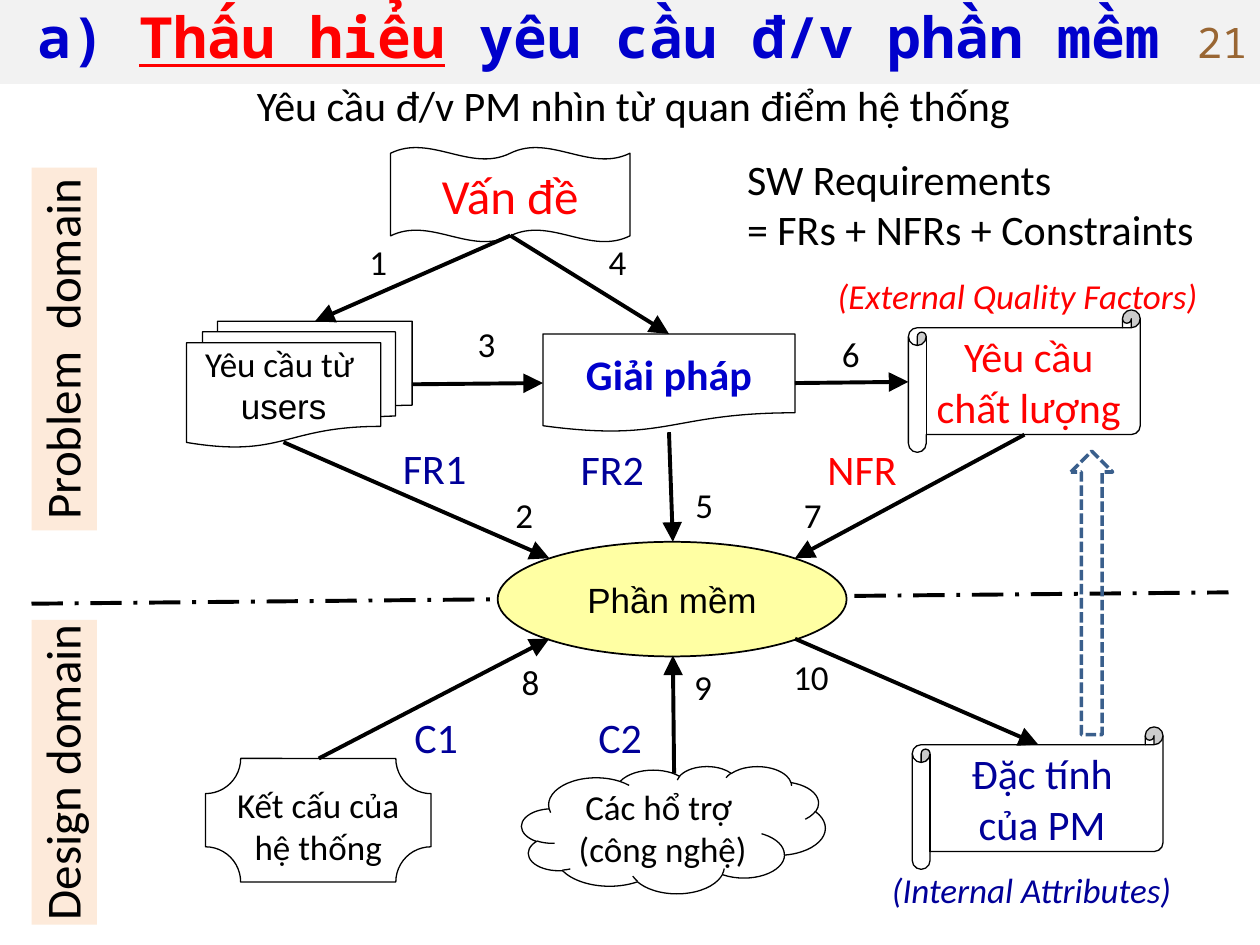
from lxml import etree
from pptx import Presentation
from pptx.dml.color import RGBColor
from pptx.enum.dml import MSO_LINE
from pptx.enum.shapes import MSO_CONNECTOR, MSO_SHAPE
from pptx.enum.text import MSO_ANCHOR, PP_ALIGN
from pptx.oxml.ns import qn
from pptx.util import Pt

RECT = MSO_SHAPE.RECTANGLE
SCROLL = MSO_SHAPE.HORIZONTAL_SCROLL
STRAIGHT = MSO_CONNECTOR.STRAIGHT
TOP, MIDDLE = MSO_ANCHOR.TOP, MSO_ANCHOR.MIDDLE
LEFT, CENTER = PP_ALIGN.LEFT, PP_ALIGN.CENTER

BLACK, WHITE, RED = "000000", "FFFFFF", "FF0000"
BLUE, NAVY, GRAY, PEACH = "0000CC", "000099", "F2F2F2", "FDEADA"
MONO = "Noto Sans Mono"

rgb = RGBColor.from_string

prs = Presentation()
prs.slide_width, prs.slide_height = Pt(720), Pt(540)
slide = prs.slides.add_slide(prs.slide_layouts[6])
shapes = slide.shapes


def write(frame, text, size, color, align=CENTER, anchor=MIDDLE,
          margins=(0, 0), wrap=True, font="Calibri"):
    frame.text = text
    frame.word_wrap = wrap
    frame.vertical_anchor = anchor
    frame.margin_left = frame.margin_right = Pt(margins[0])
    frame.margin_top = frame.margin_bottom = Pt(margins[1])
    for paragraph in frame.paragraphs:
        paragraph.alignment = align
        for run in paragraph.runs:
            run.font.size, run.font.name = Pt(size), font
            run.font.color.rgb = rgb(color)


def add_block(kind, box, fill, outline=None, width=0.75):
    block = shapes.add_shape(kind, *[Pt(v) for v in box])
    block.shadow.inherit = False
    if fill:
        block.fill.solid()
        block.fill.fore_color.rgb = rgb(fill)
    else:
        block.fill.background()
    if outline:
        block.line.color.rgb = rgb(outline)
        block.line.width = Pt(width)
    else:
        block.line.fill.background()
    return block


# Title bar and page number
title = add_block(RECT, (0, 0, 684, 48), GRAY)
write(title.text_frame, "", 32.4, BLUE, anchor=TOP, margins=(7.2, 0.9))
for words, color in (("a) ", BLUE), ("Thấu hiểu", RED),
                     (" yêu cầu đ/v phần mềm", BLUE)):
    run = title.text_frame.paragraphs[0].add_run()
    run.text = words
    run.font.size, run.font.name, run.font.bold = Pt(32.4), MONO, True
    run.font.color.rgb = rgb(color)
    run.font.underline = color == RED
page_number = add_block(RECT, (684, 0, 36, 48), GRAY)
write(page_number.text_frame, "21", 24, "996633", LEFT, margins=(0, 3.6), font=MONO)

# Domain labels, turned to read upwards
for label, left, top, length in (("Problem  domain", -67, 180.7, 207.4),
                                 ("Design domain", -50.4, 422.6, 174.2)):
    domain = add_block(RECT, (left, top, length, 37.4), PEACH)
    domain.rotation = 270
    write(domain.text_frame, label, 28, BLACK, anchor=TOP)

# Border between the domains, behind the ellipse
border = shapes.add_connector(STRAIGHT, Pt(18), Pt(345), Pt(702), Pt(338.5))
border.line.dash_style = MSO_LINE.LONG_DASH_DOT
connectors = [border]

# Nodes: shape, box, text, size, colour, anchor
nodes = [
    (MSO_SHAPE.FLOWCHART_DOCUMENT, (310.3, 190.8, 144, 56.2), "Giải pháp", 24, BLUE, MIDDLE),
    (MSO_SHAPE.DOUBLE_WAVE, (223.2, 84.2, 136.8, 54), "Vấn đề", 28, RED, MIDDLE),
    (SCROLL, (519.1, 177.1, 132.5, 81.4), "Yêu cầu chất lượng", 24, RED, MIDDLE),
    (MSO_SHAPE.PLAQUE, (117.4, 433.4, 128.9, 70.6), "Kết cấu của hệ thống", 20, BLACK, TOP),
    (MSO_SHAPE.CLOUD, (298.1, 437.8, 173.5, 72.7), "Các hổ trợ \n(công nghệ)", 20, BLACK, TOP),
    (MSO_SHAPE.FLOWCHART_MULTIDOCUMENT, (106.6, 183.6, 128.9, 72), "Yêu cầu từ \nusers", 20, BLACK, TOP),
    (SCROLL, (521.3, 415.4, 143.3, 81.4), "Đặc tính\ncủa PM", 24, NAVY, MIDDLE),
]
for kind, box, text, size, color, anchor in nodes:
    node = add_block(kind, box, WHITE, BLACK)
    write(node.text_frame, text, size, color, anchor=anchor)
    if kind == MSO_SHAPE.PLAQUE:
        node.adjustments[0] = 0.285
    elif kind == MSO_SHAPE.FLOWCHART_DOCUMENT:
        node.text_frame.paragraphs[0].runs[0].font.bold = True
    elif kind == MSO_SHAPE.FLOWCHART_MULTIDOCUMENT:
        node.text_frame.paragraphs[1].runs[0].font.name = "Arial"
software = add_block(MSO_SHAPE.OVAL, (284.4, 309.6, 199.4, 65.5), "FFFFA3", BLACK, 1)
write(software.text_frame, "Phần mềm", 20, BLACK, font="Arial")
software.text_frame.paragraphs[0].space_after = Pt(10)

# Arrows between the nodes
arrows = [
    (291.6, 134.6, 180, 183.6), (291.6, 134.6, 382.3, 190.8),
    (235.4, 219.6, 310.3, 218.9), (454.3, 218.9, 519.1, 218.2),
    (162, 252.7, 313.9, 319), (382.3, 247, 384.5, 309.6),
    (585.4, 248.4, 454.3, 319), (182.2, 433.4, 313.9, 365),
    (385.2, 442.1, 384.5, 374.6), (454.3, 365, 593.3, 425.5),
]
for ends in arrows:
    arrow = shapes.add_connector(STRAIGHT, *[Pt(v) for v in ends])
    connectors.append(arrow)
for connector in connectors:
    connector.line.color.rgb = rgb(BLACK)
    connector.line.width = Pt(2.25)
    properties = connector._element.spPr
    if connector is not border:
        etree.SubElement(properties.find(qn("a:ln")), qn("a:tailEnd"),
                         type="triangle", w="lg", len="lg")
    etree.SubElement(properties, qn("a:effectLst"))

# Step numbers, in order from 1
steps = [(211, 137.5), (294.5, 282.2), (272.9, 184.3), (347.8, 137.5), (397.4, 276.5),
         (481, 190.1), (459.4, 282.2), (298.1, 377.3), (396.7, 380.2), (453.3, 374.4)]
for number, (left, top) in enumerate(steps, 1):
    step = shapes.add_textbox(Pt(left), Pt(top), Pt(12 * len(str(number))), Pt(26.6))
    write(step.text_frame, str(number), 20, BLACK, LEFT, TOP, wrap=False)

# Free captions: box, text, size, colour
captions = [
    ((229.7, 403.2, 45.4, 36), "C1", 24, NAVY),
    ((334.8, 403.2, 45.4, 36), "C2", 24, NAVY),
    ((223.2, 249.5, 54.7, 36), "FR1", 24, NAVY),
    ((324.7, 249.8, 54.7, 36), "FR2", 24, NAVY),
    ((465.8, 249.8, 61.9, 36), "NFR", 24, RED),
    ((471.6, 153.4, 236.2, 31), "(External Quality Factors)", 20, RED),
    ((502.6, 492.5, 193, 31), "(Internal Attributes)", 20, NAVY),
    ((419.8, 84.2, 282.2, 64.8), "SW Requirements\n= FRs + NFRs + Constraints", 24, BLACK),
    ((139.7, 41.8, 454.3, 36), "Yêu cầu đ/v PM nhìn từ quan điểm hệ thống", 24, BLACK),
]
for box, text, size, color in captions:
    caption = shapes.add_textbox(*[Pt(v) for v in box])
    in_brackets = text.startswith("(")
    write(caption.text_frame, text, size, color, LEFT, TOP, (7.2, 3.6), wrap=in_brackets)
    if in_brackets:
        caption.text_frame.paragraphs[0].runs[0].font.italic = True

# Dashed arrow from internal attributes up to external quality
influence = add_block(MSO_SHAPE.UP_ARROW, (612, 257.8, 23.8, 162), None, "3A5F8C", 2)
influence.line.dash_style = MSO_LINE.SQUARE_DOT

prs.save("out.pptx")
